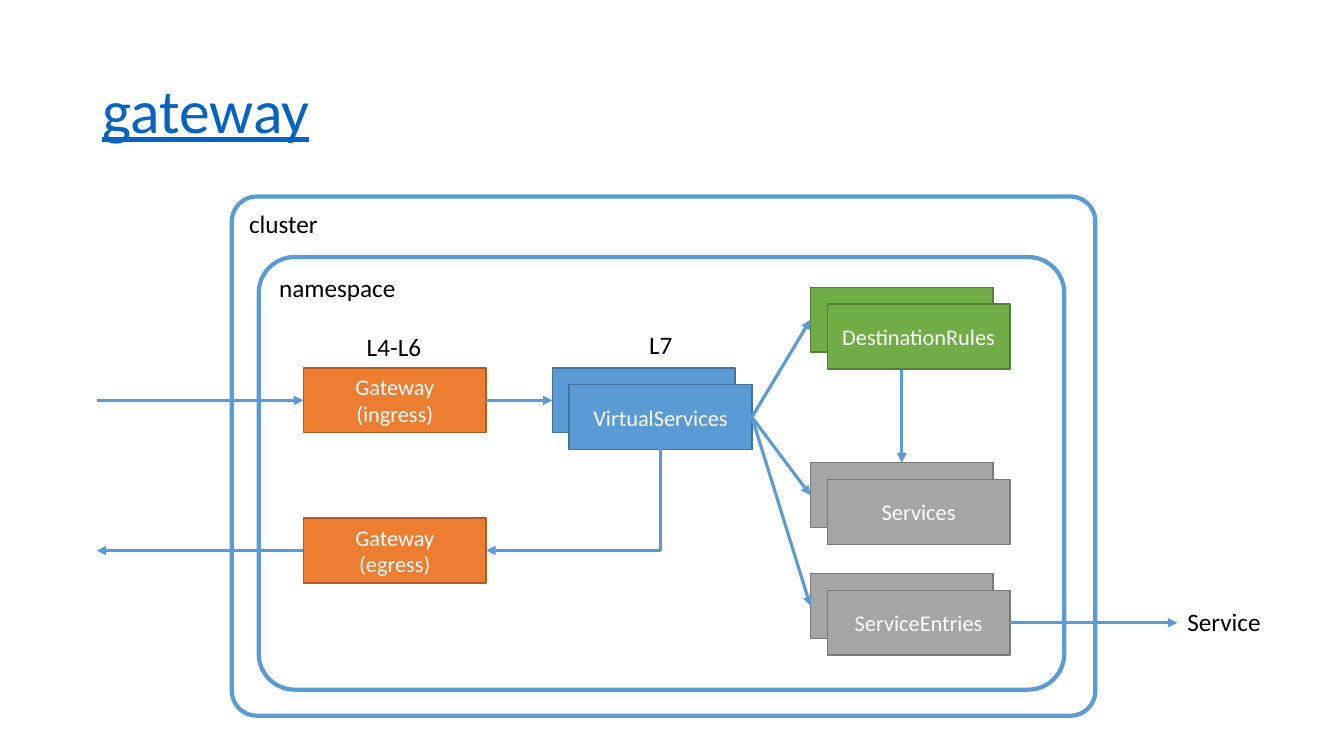
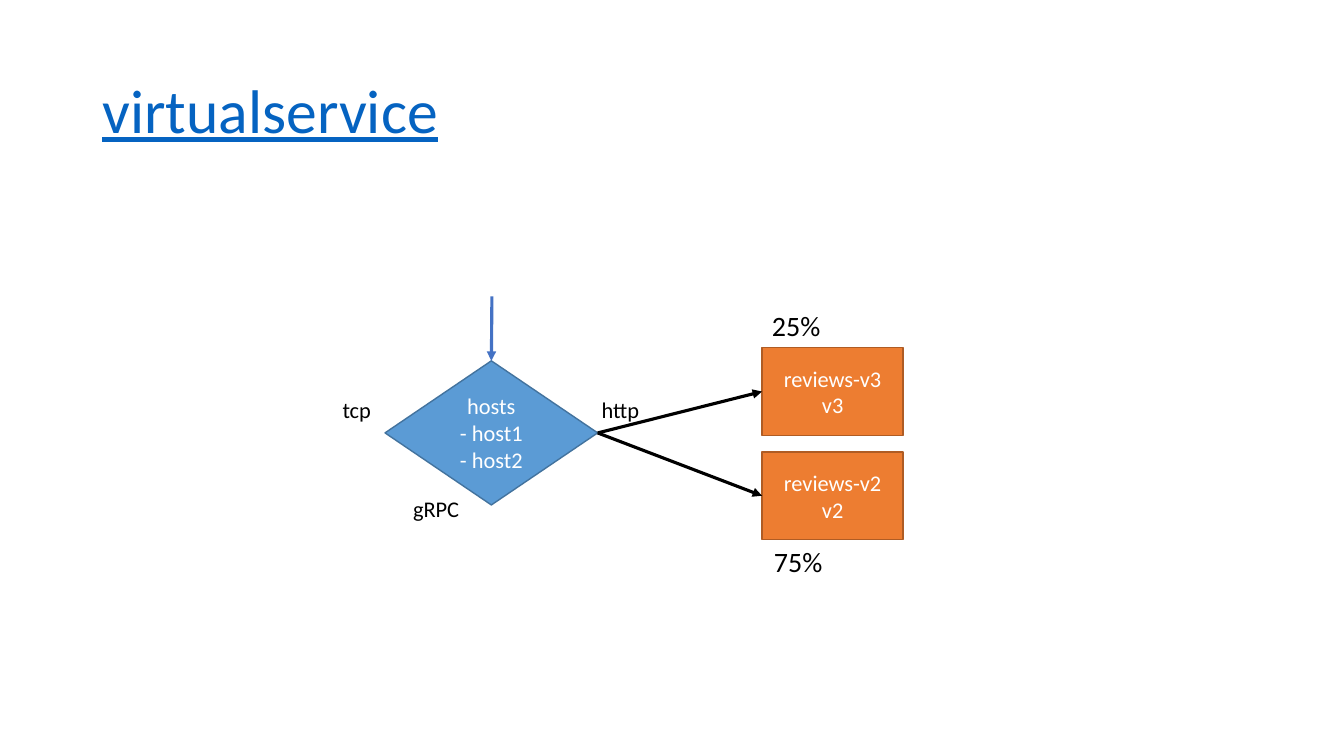
from lxml import etree
from pptx import Presentation, util as u
from pptx.dml.color import RGBColor
from pptx.enum import shapes, text
from pptx.oxml import ns

COLOURS = {
    "white": "FFFFFF", "black": "000000", "title": "0563C1", "entry": "4472C4",
    "blue": "5B9BD5", "blue edge": "43739E", "orange": "ED7D31", "orange edge": "AF5C24",
    "green": "70AD47", "green edge": "538035", "grey": "A5A5A5", "grey edge": "7A7A7A",
}
COLUMNS, ROWS = 80, 45
TOP, LEFT, BOTTOM, RIGHT = range(4)
CARD = (10.88, 3.86)
REVIEW = (8.4, 5.22)


class Diagram:
    """Draws styled elements on the current slide, measured in grid columns and rows."""

    def __init__(self):
        self.presentation = Presentation()
        self.presentation.slide_width = u.Inches(13.33)
        self.presentation.slide_height = u.Inches(7.5)
        self.slide = None

    def grid(self, *lengths):
        steps = (self.presentation.slide_width / COLUMNS, self.presentation.slide_height / ROWS)
        return [u.Emu(round(length * steps[index % 2])) for index, length in enumerate(lengths)]

    def colour(self, name):
        return RGBColor.from_string(COLOURS[name])

    def add_lines(self, frame, lines, size, colour, align=text.PP_ALIGN.LEFT):
        for index, line in enumerate(lines):
            paragraph = frame.add_paragraph() if index else frame.paragraphs[0]
            paragraph.alignment = align
            run = paragraph.add_run()
            run.text = line
            run.font.name = "Calibri"
            run.font.size = u.Pt(size)
            run.font.color.rgb = self.colour(colour)

    def new_slide(self, title):
        self.slide = self.presentation.slides.add_slide(self.presentation.slide_layouts[5])
        shape = self.slide.shapes.title
        shape.left, shape.top, shape.width, shape.height = self.grid(5.5, 2.4, 69, 8.7)
        frame = shape.text_frame
        frame.vertical_anchor = text.MSO_ANCHOR.MIDDLE
        frame.auto_size = text.MSO_AUTO_SIZE.NONE
        self.add_lines(frame, [title], 44, "title")
        paragraph = frame.paragraphs[0]
        paragraph.line_spacing = 0.9
        paragraph.runs[0].font.underline = True

    def outline(self, kind, place, fill, line, width):
        shape = self.slide.shapes.add_shape(kind, *self.grid(*place))
        shape.shadow.inherit = False
        if fill:
            shape.fill.solid()
            shape.fill.fore_color.rgb = self.colour(fill)
        else:
            shape.fill.background()
        shape.line.color.rgb = self.colour(line)
        shape.line.width = u.Pt(width)
        return shape

    def frame(self, caption, place, corner, fill=None):
        shape = self.outline(shapes.MSO_SHAPE.ROUNDED_RECTANGLE, place, fill, "blue", 3)
        shape.adjustments[0] = corner
        shape.text_frame.vertical_anchor = text.MSO_ANCHOR.TOP
        self.add_lines(shape.text_frame, [caption], 18, "black")

    def box(self, lines, corner, colour, size=CARD, kind=shapes.MSO_SHAPE.RECTANGLE):
        shape = self.outline(kind, (*corner, *size), colour, colour + " edge", 1)
        shape.text_frame.vertical_anchor = text.MSO_ANCHOR.MIDDLE
        self.add_lines(shape.text_frame, lines, 16, "white", text.PP_ALIGN.CENTER)
        return shape

    def label(self, caption, place, size=18):
        frame = self.slide.shapes.add_textbox(*self.grid(*place)).text_frame
        frame.word_wrap = False
        frame.auto_size = text.MSO_AUTO_SIZE.SHAPE_TO_FIT_TEXT
        self.add_lines(frame, [caption], size, "black")

    def arrow(self, start=None, finish=None, point=(0, 0), colour="blue", bent=False):
        kind = shapes.MSO_CONNECTOR.ELBOW if bent else shapes.MSO_CONNECTOR.STRAIGHT
        connector = self.slide.shapes.add_connector(kind, *self.grid(*point, *point))
        if start:
            connector.begin_connect(*start)
        if finish:
            connector.end_connect(*finish)
        connector.line.color.rgb = self.colour(colour)
        connector.line.width = u.Pt(2.25)
        properties = connector._element.spPr
        end = "headEnd" if bent else "tailEnd"
        etree.SubElement(properties.find(ns.qn("a:ln")), ns.qn("a:" + end), type="triangle")
        etree.SubElement(properties, ns.qn("a:effectLst"))
        if bent:
            properties.find(ns.qn("a:prstGeom")).set("prst", "bentConnector2")


def draw_gateway(diagram):
    diagram.new_slide("gateway")
    diagram.frame("cluster", (13.8, 11.7, 51.4, 30.9), 0.048, "white")
    diagram.frame("namespace", (15.4, 15.3, 47.95, 25.75), 0.083)
    ingress, egress = [
        diagram.box(["Gateway", f"({direction})"], (18.06, row), "orange")
        for direction, row in (("ingress", 21.9), ("egress", 30.84))
    ]
    stacks = {
        "VirtualServices": (32.88, 21.9, "blue"),
        "DestinationRules": (48.24, 17.1, "green"),
        "Services": (48.24, 27.54, "grey"),
        "ServiceEntries": (48.24, 34.14, "grey"),
    }
    back = {name: diagram.box([], (column, row), colour)
            for name, (column, row, colour) in stacks.items()}
    diagram.arrow((back["DestinationRules"], BOTTOM), (back["Services"], TOP))
    front = {name: diagram.box([name], (column + 1, row + 1), colour)
             for name, (column, row, colour) in stacks.items()}

    virtual = front["VirtualServices"]
    for name in ("DestinationRules", "Services", "ServiceEntries"):
        diagram.arrow((virtual, RIGHT), (back[name], LEFT))
    diagram.arrow(finish=(ingress, LEFT), point=(5.76, 23.83))
    diagram.arrow((ingress, RIGHT), (back["VirtualServices"], LEFT))
    diagram.arrow((egress, RIGHT), (virtual, BOTTOM), bent=True)
    diagram.arrow((egress, LEFT), point=(5.76, 32.77))
    diagram.arrow((front["ServiceEntries"], RIGHT), point=(70.08, 37.07))

    diagram.label("L4-L6", (21.24, 19.44, 4.5, 2.4))
    diagram.label("L7", (38.04, 19.32, 2.64, 2.4))
    diagram.label("Service", (70.08, 35.82, 5.64, 2.4))


def draw_virtualservice(diagram):
    diagram.new_slide("virtualservice")
    hosts = diagram.box(["hosts", "- host1", "- host2"], (22.92, 21.48), "blue",
                        (12.66, 8.58), shapes.MSO_SHAPE.DIAMOND)
    for version, row in (("v3", 20.7), ("v2", 26.9)):
        review = diagram.box([f"reviews-{version}", version], (45.36, row), "orange", REVIEW)
        diagram.arrow((hosts, RIGHT), (review, LEFT), colour="black")
    diagram.arrow(finish=(hosts, TOP), point=(29.28, 17.64), colour="entry")
    for protocol, column, row, width in (
        ("http", 35.22, 23.28, 3.48), ("tcp", 19.8, 23.28, 2.94), ("gRPC", 24, 29.16, 3.96),
    ):
        diagram.label(protocol, (column, row, width, 2.22), 16)
    for share, column, row in (("25%", 45.36, 18.06), ("75%", 45.48, 32.1)):
        diagram.label(share, (column, row, 4.14, 2.64), 20)


diagram = Diagram()
draw_gateway(diagram)
draw_virtualservice(diagram)
diagram.presentation.save("out.pptx")
